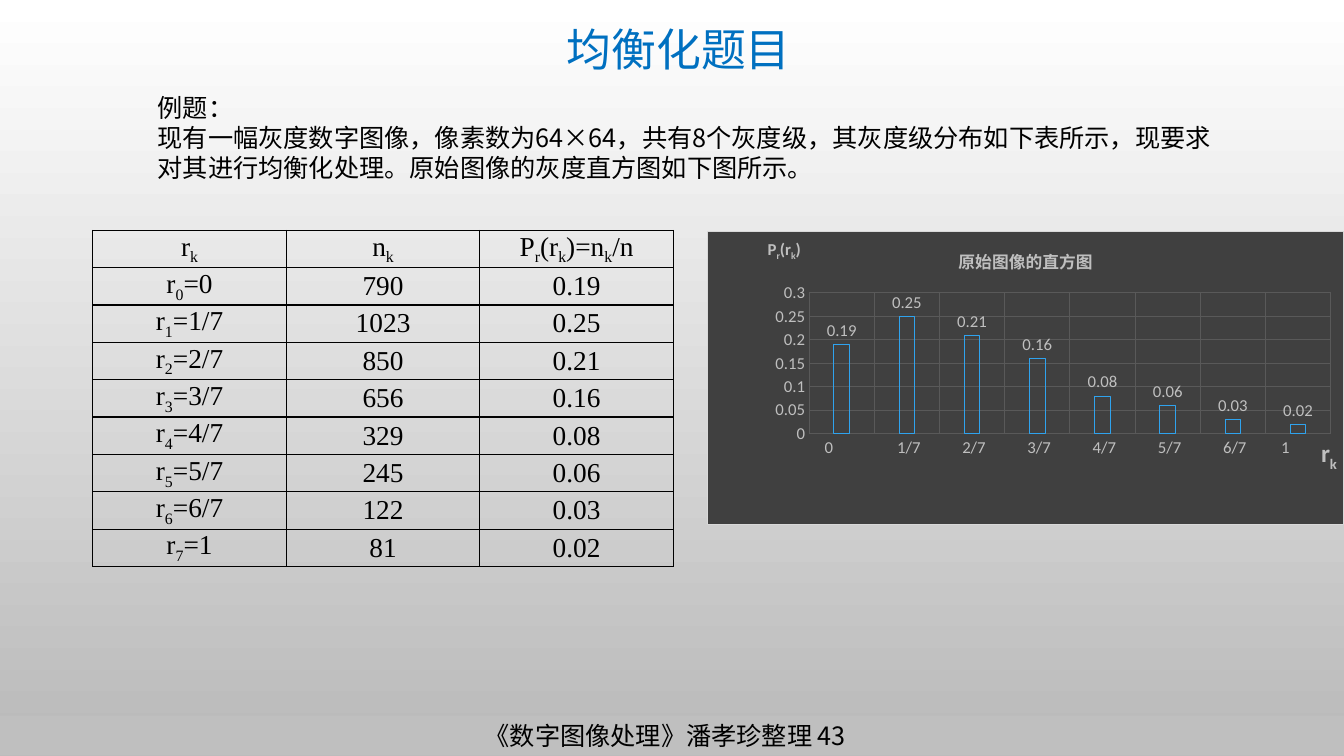
import lxml.etree
import pptx
import pptx.chart.data
import pptx.dml.color
import pptx.enum.chart
import pptx.enum.shapes
import pptx.enum.text
import pptx.oxml
import pptx.oxml.ns
import pptx.util

RGBColor = pptx.dml.color.RGBColor
WHITE = RGBColor(0xFF, 0xFF, 0xFF)
BLACK = RGBColor(0x00, 0x00, 0x00)
BACKGROUND_GREY = RGBColor(0xB9, 0xB9, 0xB9)
LIGHT_GREY = RGBColor(0xBF, 0xBF, 0xBF)
GRID_GREY = RGBColor(0x59, 0x59, 0x59)
TITLE_BLUE = RGBColor(0x00, 0x70, 0xC0)
BAR_BLUE = RGBColor(0x2F, 0xA3, 0xEE)

CHINESE_FONT = "Noto Sans CJK SC"
TABLE_FONT = "Times New Roman"
CHART_FONT = "Calibri"
FRACTION_FORMAT = r"#\ ?/?"

COLUMNS, ROWS = 64, 36
LEVELS = ["0", "1/7", "2/7", "3/7", "4/7", "5/7", "6/7", "1"]
COUNTS = [790, 1023, 850, 656, 329, 245, 122, 81]
SHARES = [0.19, 0.25, 0.21, 0.16, 0.08, 0.06, 0.03, 0.02]

CHART_BACKGROUND = (
    f'<c:spPr {pptx.oxml.ns.nsdecls("c", "a")}>'
    '<a:solidFill><a:srgbClr val="404040"/></a:solidFill>'
    '<a:ln w="9525"><a:solidFill><a:srgbClr val="D9D9D9"/></a:solidFill></a:ln>'
    "</c:spPr>"
)


def set_font(font, name, size, color, bold=False):
    font.name, font.size, font.bold = name, pptx.util.Pt(size), bold
    font.color.rgb = color


def write(paragraph, markup, name, size, color, bold=False):
    """Write text in which the character after each underscore is a subscript."""
    set_font(paragraph.font, name, size, color, bold)
    if name != TABLE_FONT:
        latin = paragraph._p.pPr.find(".//" + pptx.oxml.ns.qn("a:latin"))
        east_asian = lxml.etree.Element(pptx.oxml.ns.qn("a:ea"), typeface=CHINESE_FONT)
        latin.addnext(east_asian)
    plain, *pieces = markup.split("_")
    paragraph.add_run().text = plain
    for piece in pieces:
        subscript = paragraph.add_run()
        subscript.text = piece[0]
        subscript._r.get_or_add_rPr().set("baseline", "-25000")
        if piece[1:]:
            paragraph.add_run().text = piece[1:]


def place_in_chart(element, index, **shares):
    """Fix a chart part at shares of the chart's size."""
    for layout in element.findall(pptx.oxml.ns.qn("c:layout")):
        element.remove(layout)
    inner = '<c:layoutTarget val="inner"/>' if "w" in shares else ""
    modes = "".join(f'<c:{side}Mode val="edge"/>' for side in "xy")
    values = "".join(f'<c:{side} val="{share}"/>' for side, share in shares.items())
    element.insert(index, pptx.oxml.parse_xml(
        f'<c:layout {pptx.oxml.ns.nsdecls("c")}><c:manualLayout>'
        f"{inner}{modes}{values}</c:manualLayout></c:layout>"))


def title_chart_part(title, markup, size, x, y):
    frame = title.text_frame
    write(frame.paragraphs[0], markup, CHART_FONT, size, LIGHT_GREY, bold=True)
    frame._txBody.bodyPr.set("rot", "0")
    place_in_chart(title._element, 1, x=x, y=y)


def draw_cell_borders(cell):
    properties = cell._tc.get_or_add_tcPr()
    for side in "LRTB":
        properties.append(pptx.oxml.parse_xml(
            f'<a:ln{side} {pptx.oxml.ns.nsdecls("a")} w="12700"><a:solidFill>'
            f'<a:srgbClr val="{BLACK}"/></a:solidFill></a:ln{side}>'))


class SlideBuilder:
    """Hold the slide; boxes are (column, row, width, height) in grid units."""

    def __init__(self, presentation):
        self.column = presentation.slide_width / COLUMNS
        self.row = presentation.slide_height / ROWS
        self.slide = presentation.slides.add_slide(presentation.slide_layouts[5])

    def area(self, box):
        units = (self.column, self.row) * 2
        return [round(value * unit) for value, unit in zip(box, units)]

    def background(self, top_color, bottom_color):
        fill = self.slide.background.fill
        fill.gradient()
        fill.gradient_angle = 270
        for stop, color in zip(fill.gradient_stops, (top_color, bottom_color)):
            stop.color.rgb = color

    def title(self, box, text):
        shape = self.slide.shapes.title
        shape.left, shape.top, shape.width, shape.height = self.area(box)
        frame = shape.text_frame
        frame.auto_size = pptx.enum.text.MSO_AUTO_SIZE.NONE
        frame.vertical_anchor = pptx.enum.text.MSO_ANCHOR.TOP
        frame.word_wrap = False
        frame.paragraphs[0].alignment = pptx.enum.text.PP_ALIGN.LEFT
        write(frame.paragraphs[0], text, CHINESE_FONT, 32, TITLE_BLUE)

    def text(self, box, lines):
        frame = self.slide.shapes.add_textbox(*self.area(box)).text_frame
        frame.word_wrap = True
        for index, line in enumerate(lines):
            paragraph = frame.add_paragraph() if index else frame.paragraphs[0]
            write(paragraph, line, CHINESE_FONT, 18, BLACK)

    def footer(self, box, text):
        shape = self.slide.shapes.add_shape(
            pptx.enum.shapes.MSO_SHAPE.RECTANGLE, *self.area(box))
        shape.shadow.inherit = False
        shape.fill.solid()
        shape.fill.fore_color.rgb = LIGHT_GREY
        shape.line.fill.background()
        frame = shape.text_frame
        frame.margin_right = pptx.util.Inches(0.23)
        frame.vertical_anchor = pptx.enum.text.MSO_ANCHOR.MIDDLE
        frame.paragraphs[0].alignment = pptx.enum.text.PP_ALIGN.CENTER
        write(frame.paragraphs[0], text, CHINESE_FONT, 18, BLACK)

    def table(self, box, rows):
        table = self.slide.shapes.add_table(
            len(rows), len(rows[0]), *self.area(box)).table
        table.first_row = table.horz_banding = False
        for row_index, row in enumerate(rows):
            for column_index, markup in enumerate(row):
                cell = table.cell(row_index, column_index)
                draw_cell_borders(cell)
                cell.fill.background()
                cell.vertical_anchor = pptx.enum.text.MSO_ANCHOR.MIDDLE
                cell.margin_left = cell.margin_right = pptx.util.Inches(0.07)
                cell.margin_top = cell.margin_bottom = 0
                paragraph = cell.text_frame.paragraphs[0]
                paragraph.alignment = pptx.enum.text.PP_ALIGN.CENTER
                write(paragraph, markup, TABLE_FONT, 19.5, BLACK)

    def histogram(self, box, title, categories, values):
        data = pptx.chart.data.CategoryChartData()
        data.categories = categories
        data.categories.number_format = FRACTION_FORMAT
        data.add_series("Series 1", values)
        chart = self.slide.shapes.add_chart(
            pptx.enum.chart.XL_CHART_TYPE.COLUMN_CLUSTERED, *self.area(box), data).chart
        set_font(chart.font, CHART_FONT, 12, LIGHT_GREY)
        chart.has_legend = False
        chart_element = chart._chartSpace.chart
        chart_element.addnext(pptx.oxml.parse_xml(CHART_BACKGROUND))
        place_in_chart(chart_element.plotArea, 0, x=0.16, y=0.21, w=0.82, h=0.48)

        for axis in (chart.category_axis, chart.value_axis):
            axis.major_tick_mark = pptx.enum.chart.XL_TICK_MARK.NONE
            axis.format.line.fill.background()
            axis.has_major_gridlines = True
            gridline = axis.major_gridlines.format.line
            gridline.color.rgb, gridline.width = GRID_GREY, pptx.util.Pt(0.75)
            set_font(axis.tick_labels.font, CHART_FONT, 12, LIGHT_GREY)
        chart.category_axis.tick_labels.number_format = FRACTION_FORMAT
        chart.category_axis.tick_labels.number_format_is_linked = False
        chart.value_axis.minimum_scale = 0
        chart.value_axis.maximum_scale = 0.3
        chart.value_axis.major_unit = 0.05
        title_chart_part(chart.chart_title, title, 12, 0.39, 0.04)
        title_chart_part(chart.value_axis.axis_title, "P_r(r_k)", 12, 0.09, 0.01)
        title_chart_part(chart.category_axis.axis_title, "r_k", 18, 0.96, 0.69)

        plot = chart.plots[0]
        plot.gap_width, plot.overlap, plot.vary_by_categories = 315, -40, False
        bars = plot.series[0].format
        bars.fill.background()
        bars.line.color.rgb, bars.line.width = BAR_BLUE, pptx.util.Pt(0.75)
        plot.has_data_labels = True
        plot.data_labels.show_value = True
        plot.data_labels.position = pptx.enum.chart.XL_LABEL_POSITION.OUTSIDE_END
        set_font(plot.data_labels.font, CHART_FONT, 12, LIGHT_GREY)


def main():
    presentation = pptx.Presentation()
    presentation.slide_width = pptx.util.Inches(13.33)
    presentation.slide_height = pptx.util.Inches(7.5)
    builder = SlideBuilder(presentation)
    builder.background(WHITE, BACKGROUND_GREY)
    builder.footer((0, 34.08, 64, 1.9), "《数字图像处理》潘孝珍整理 43")
    builder.text((7.04, 4.16, 51.8, 4.85), [
        "例题：",
        "现有一幅灰度数字图像，像素数为64×64，共有8个灰度级，其灰度级分布如下表所示，"
        "现要求对其进行均衡化处理。原始图像的灰度直方图如下图所示。",
    ])
    rows = [["r_k", "n_k", "P_r(r_k)=n_k/n"]]
    for index, (level, count, share) in enumerate(zip(LEVELS, COUNTS, SHARES)):
        rows.append([f"r_{index}={level}", str(count), str(share)])
    builder.table((4.42, 10.97, 27.65, 16), rows)
    builder.title((26.5, 0.8, 12.87, 3.07), "均衡化题目")
    gray_levels = [level / 7 for level in range(len(SHARES))]
    builder.histogram((33.66, 11, 30.34, 14), "原始图像的直方图", gray_levels, SHARES)
    presentation.save("out.pptx")


if __name__ == "__main__":
    main()
